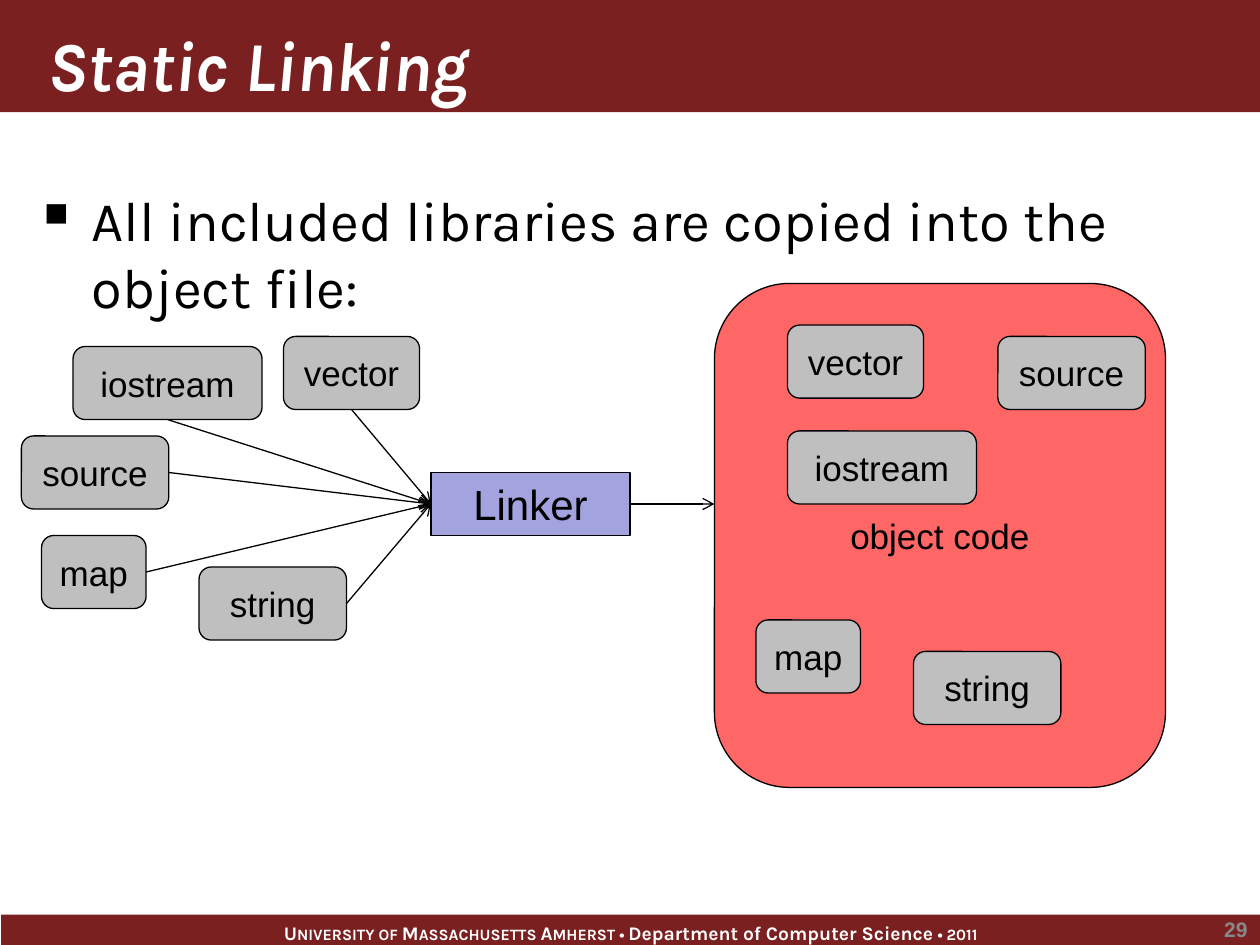
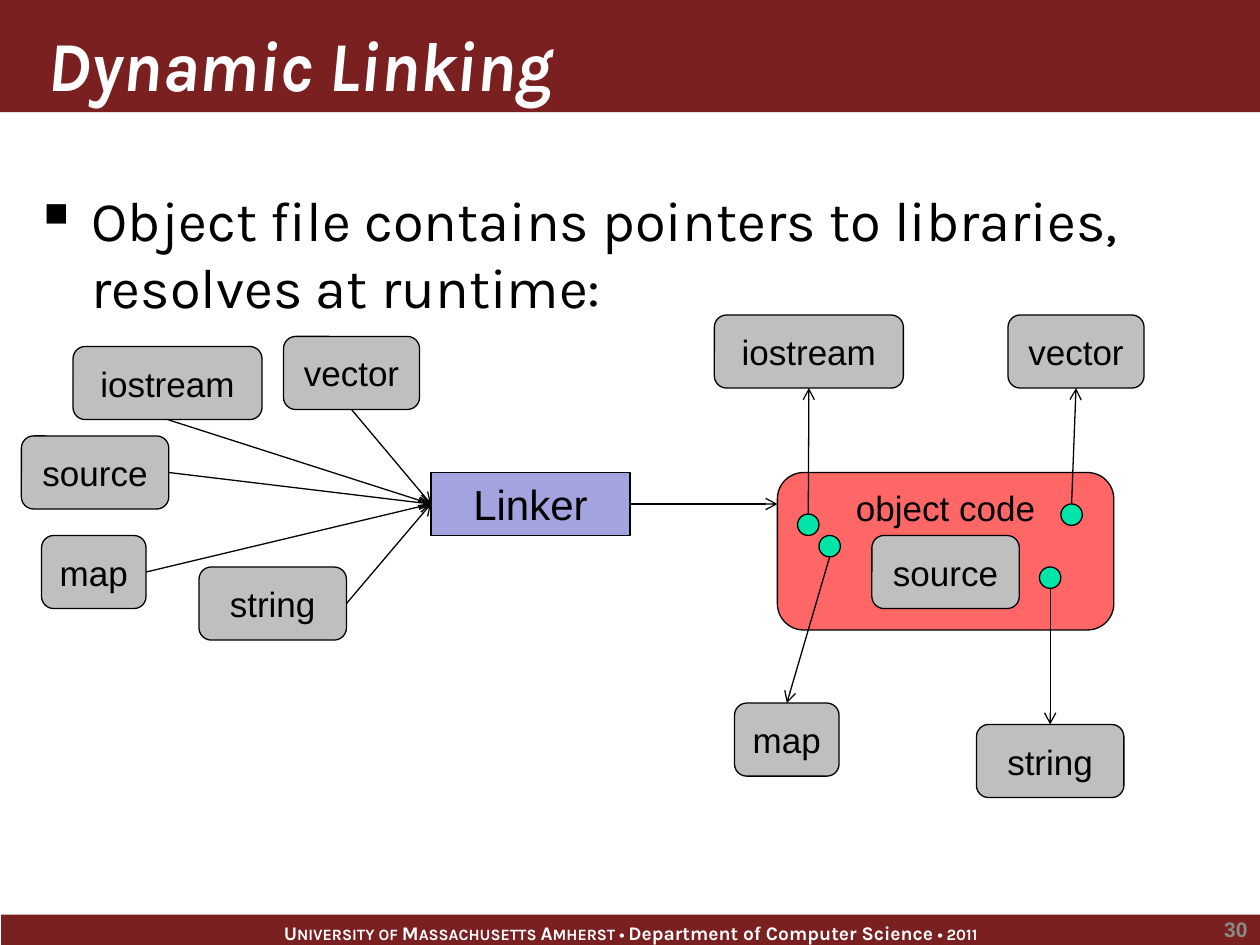
from lxml import etree
from pptx import Presentation
from pptx.dml.color import RGBColor
from pptx.enum.shapes import MSO_CONNECTOR, MSO_SHAPE as Shape
from pptx.enum.text import MSO_ANCHOR as Anchor, MSO_AUTO_SIZE, PP_ALIGN as Align
from pptx.oxml.ns import qn
from pptx.util import Inches, Pt

COLORS = {
    "maroon": "7A2021",
    "white": "FFFFFF",
    "black": "000000",
    "number": "898989",
    "linker": "A3A3E0",
    "module": "BFBFBF",
    "object": "FF6666",
    "pointer": "00E4A8",
}
HEADING_FONT, LABEL_FONT = "Karla", "Arial"
TOP, LEFT, BOTTOM, RIGHT = range(4)

MODULE_HEIGHT = 0.58
MODULE_WIDTHS = {"iostream": 1.5, "source": 1.17, "string": 1.17, "map": 0.83, "vector": 1.08}
DOT_SIZE = 0.17
ARROW_Y = 4

# name: left, top, side where its arrow starts
LINKER_INPUTS = {
    "iostream": (0.58, 2.75, BOTTOM),
    "source": (0.17, 3.46, RIGHT),
    "string": (1.58, 4.5, RIGHT),
    "map": (0.33, 4.25, RIGHT),
    "vector": (2.25, 2.67, BOTTOM),
}
COPIED_MODULES = {
    "iostream": (6.25, 3.42),
    "string": (7.25, 5.17),
    "map": (6, 4.92),
    "source": (7.92, 2.67),
    "vector": (6.25, 2.58),
}
# name: module position, pointer dot position, sides of dot and module that are linked
POINTED_MODULES = {
    "iostream": ((5.67, 2.5), (6.33, 4.08), TOP, BOTTOM),
    "string": ((7.75, 5.75), (8.25, 4.5), BOTTOM, TOP),
    "map": ((5.83, 5.58), (6.5, 4.25), BOTTOM, TOP),
    "vector": ((8, 2.5), (8.42, 4), TOP, BOTTOM),
}
FOOTER_SPANS = [
    ("U", 11), ("NIVERSITY OF ", 9), ("M", 11), ("ASSACHUSETTS ", 9), ("A", 11),
    ("MHERST • ", 9), ("Department of Computer Science", 11), (" • 2011", 9),
]


def color(name):
    return RGBColor.from_string(COLORS[name])


def add_span(para, text, size, font=LABEL_FONT, ink="black", bold=False, italic=False):
    span = para.add_run()
    span.text = text
    span.font.name = font
    span.font.size = Pt(size)
    span.font.color.rgb = color(ink)
    span.font.bold = bold
    span.font.italic = italic


def set_frame(box, anchor=Anchor.TOP, align=Align.LEFT):
    """Prepare the text frame of a box and return its first paragraph."""
    frame = box.text_frame
    frame.word_wrap = True
    frame.auto_size = MSO_AUTO_SIZE.NONE
    frame.vertical_anchor = anchor
    para = frame.paragraphs[0]
    para.alignment = align
    return para


def add_figure(page, kind, left, top, width, height, fill, outlined=True):
    figure = page.shapes.add_shape(kind, Inches(left), Inches(top), Inches(width), Inches(height))
    figure.shadow.inherit = False
    figure.fill.solid()
    figure.fill.fore_color.rgb = color(fill)
    if outlined:
        figure.line.color.rgb = color("black")
        figure.line.width = Pt(0.75)
    else:
        figure.line.fill.background()
    return figure


def add_label(figure, text, size=20, anchor=Anchor.MIDDLE):
    add_span(set_frame(figure, anchor, Align.CENTER), text, size)


def add_module(page, name, left, top):
    module = add_figure(page, Shape.ROUNDED_RECTANGLE, left, top,
                        MODULE_WIDTHS[name], MODULE_HEIGHT, "module")
    add_label(module, name)
    return module


def add_object_code(page, left, top, width, height, anchor):
    box = add_figure(page, Shape.ROUNDED_RECTANGLE, left, top, width, height, "object")
    add_label(box, "object code", anchor=anchor)
    return box


def add_arrow(page, start=None, start_side=None, end=None, end_side=None,
              start_at=(0, 0), end_at=(0, 0)):
    """Draw an arrow; each end is joined to a shape's side or set at a point."""
    arrow = page.shapes.add_connector(MSO_CONNECTOR.STRAIGHT, *start_at, *end_at)
    if start is not None:
        arrow.begin_connect(start, start_side)
    if end is not None:
        arrow.end_connect(end, end_side)
    arrow.line.color.rgb = color("black")
    arrow.line.width = Pt(0.75)
    etree.SubElement(arrow.line._get_or_add_ln(), qn("a:tailEnd"), type="arrow")
    etree.SubElement(arrow.element.spPr, qn("a:effectLst"))


def add_bands(page, layout):
    """Draw the title band and footer, then hand them to the layout all slides share."""
    footer = add_figure(page, Shape.RECTANGLE, 0.01, 7.26, 9.99, 0.27, "maroon", outlined=False)
    para = set_frame(footer, align=Align.CENTER)
    for text, size in FOOTER_SPANS:
        add_span(para, text, size, HEADING_FONT, "white", bold=True)
    title_band = add_figure(page, Shape.RECTANGLE, 0, 0, 10, 0.89, "maroon", outlined=False)
    for number, band in enumerate((footer, title_band), 101):
        band.element.nvSpPr.cNvPr.set("id", str(number))
        layout.shapes.element.append(band.element)


def add_title(page, text):
    title = page.shapes.title
    title.left, title.top = Inches(0.28), Inches(0)
    title.width, title.height = Inches(8.97), Inches(0.89)
    add_span(set_frame(title, Anchor.BOTTOM), text, 40, HEADING_FONT, "white",
             bold=True, italic=True)


def add_bullet(page, text):
    box = page.shapes.add_textbox(Inches(0.25), Inches(1.42), Inches(9.42), Inches(1.25))
    para = set_frame(box)
    props = para._p.get_or_add_pPr()
    props.set("marL", str(Inches(0.38)))
    props.set("indent", str(-Inches(0.38)))
    bullet_color = etree.SubElement(props, qn("a:buClr"))
    etree.SubElement(bullet_color, qn("a:srgbClr"), val=COLORS["black"])
    etree.SubElement(props, qn("a:buSzPct"), val="60000")
    etree.SubElement(props, qn("a:buChar"), char="■")
    add_span(para, text, 32, HEADING_FONT)


def add_page_number(page, number):
    box = page.shapes.add_textbox(Inches(8.5), Inches(7.25), Inches(1.5), Inches(0.25))
    add_span(set_frame(box, Anchor.MIDDLE, Align.RIGHT), str(number), 12, ink="number", bold=True)


def add_linker(page):
    """Draw the linker with the modules that feed it."""
    linker = add_figure(page, Shape.RECTANGLE, 3.42, 3.75, 1.58, 0.5, "linker")
    add_label(linker, "Linker", 24, Anchor.TOP)
    for name, (left, top, side) in LINKER_INPUTS.items():
        add_arrow(page, add_module(page, name, left, top), side, linker, LEFT)
    return linker


def start_page(deck, layout, title, bullet, number):
    page = deck.slides.add_slide(layout)
    add_title(page, title)
    add_bullet(page, bullet)
    add_page_number(page, number)
    return page


def add_static_diagram(page):
    linker = add_linker(page)
    target = add_object_code(page, 5.67, 2.25, 3.58, 4, Anchor.MIDDLE)
    add_arrow(page, linker, RIGHT, end_at=(target.left, Inches(ARROW_Y)))
    for name, position in COPIED_MODULES.items():
        add_module(page, name, *position)


def add_dynamic_diagram(page):
    linker = add_linker(page)
    target = add_object_code(page, 6.17, 3.75, 2.67, 1.25, Anchor.TOP)
    add_arrow(page, linker, RIGHT, end_at=(target.left, Inches(ARROW_Y)))
    add_module(page, "source", 6.92, 4.25)
    for name, (position, dot_position, dot_side, module_side) in POINTED_MODULES.items():
        module = add_module(page, name, *position)
        dot = add_figure(page, Shape.OVAL, *dot_position, DOT_SIZE, DOT_SIZE, "pointer")
        edge = dot.top if dot_side == TOP else dot.top + dot.height
        add_arrow(page, end=module, end_side=module_side,
                  start_at=(dot.left + dot.width // 2, edge))


def main():
    deck = Presentation()
    deck.slide_width, deck.slide_height = Inches(10), Inches(7.5)
    layout = deck.slide_layouts[5]

    static = start_page(deck, layout, "Static Linking",
                        "All included libraries are copied into the object file:", 29)
    add_bands(static, layout)
    add_static_diagram(static)

    dynamic = start_page(deck, layout, "Dynamic Linking",
                         "Object file contains pointers to libraries, resolves at runtime:", 30)
    add_dynamic_diagram(dynamic)

    deck.save("out.pptx")


if __name__ == "__main__":
    main()
